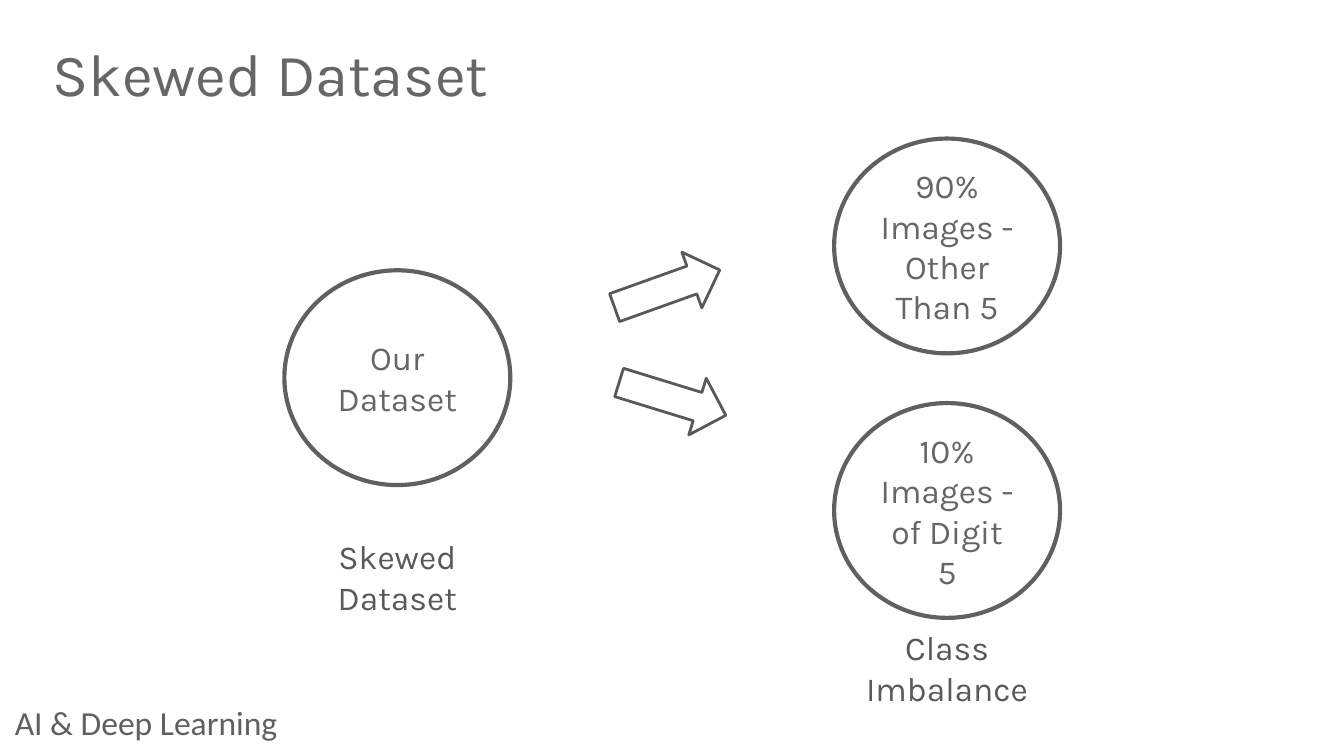
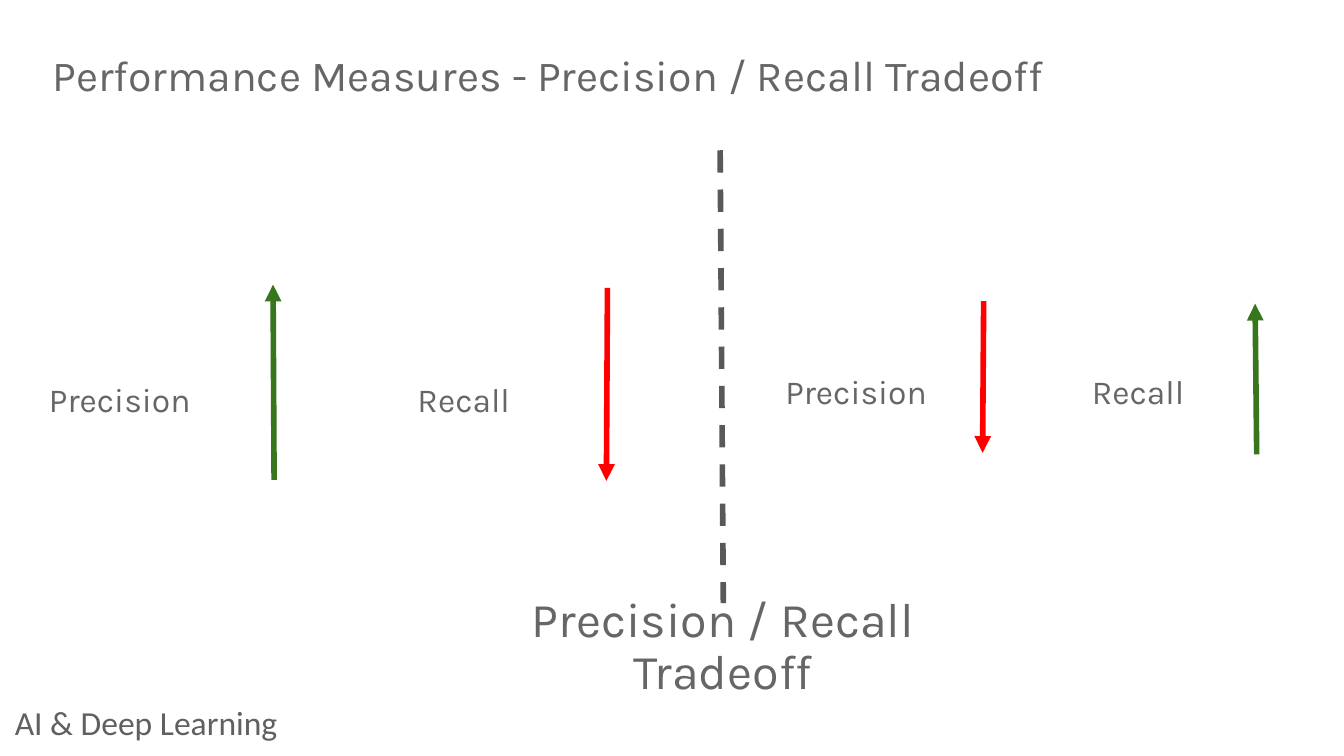
from lxml import etree
from pptx import Presentation
from pptx import util as u
from pptx.dml.color import RGBColor
from pptx.enum import dml, shapes, text
from pptx.oxml.ns import qn

FONT, FOOTER_FONT = "Karla", "Calibri"
GREY, DARK, OUTLINE = "666666", "595959", "606060"
GREEN, RED = "38761D", "FF0000"
PAD = 0.25

FOOTER = "AI & Deep Learning"
TITLE_BOX = (0.99, 0.61, 23.42, 1.7)
FOOTER_BOX = (0.18, 13.36, 7.24, 0.58)

# Skewed dataset: all places are centres, in cm
DATA_X, CLASS_X = 7.51, 17.9
CIRCLE_SIZE = (4.27, 4.06)
CAPTION_SIZE = (5.1, 1.02)
ARROW_SIZE = (2.11, 1.12)
CIRCLES = [
    ("90% Images - Other Than 5", CLASS_X, 4.65),
    ("10% Images - of Digit 5", CLASS_X, 9.65),
    ("Our Dataset", DATA_X, 7.14),
]
CAPTIONS = [("Skewed Dataset", DATA_X, 10.9), ("Class Imbalance", CLASS_X, 12.62)]
BLOCK_ARROWS = [(12.61, 5.46, 340.3), (12.71, 7.54, 17.1)]

# Tradeoff: label, label left, label size, colour, arrow start, arrow end
LABEL_TOP = 6.78
WIDE, NARROW = (4.17, 1.42), (3.4, 1.12)
MEASURES = [
    ("Precision", 0.18, WIDE, GREEN, (5.18, 9.07), (5.16, 5.38)),
    ("Recall", 6.68, WIDE, RED, (11.48, 5.44), (11.46, 9.09)),
    ("Precision", 14.48, NARROW, RED, (18.59, 5.69), (18.57, 8.56)),
    ("Recall", 19.81, NARROW, GREEN, (23.75, 8.59), (23.72, 5.74)),
]
DIVIDER = ((13.61, 2.84), (13.67, 11.4))
CONCLUSION = "Precision / Recall Tradeoff"
CONCLUSION_BOX = (8.59, 11.4, 10.16, 1.7)


def colour(hex_string):
    return RGBColor.from_string(hex_string)


def cm(values):
    return [u.Cm(value) for value in values]


def centred(x, y, size):
    """Return left, top, width and height of a box centred on x, y."""
    width, height = size
    return x - width / 2, y - height / 2, width, height


def write(shape, words, size=18, ink=GREY, font=FONT, pad=PAD,
          align=text.PP_ALIGN.CENTER, spacing=1):
    frame = shape.text_frame
    frame.word_wrap = True
    frame.auto_size = text.MSO_AUTO_SIZE.NONE
    frame.vertical_anchor = text.MSO_ANCHOR.MIDDLE
    frame.margin_left = frame.margin_right = u.Cm(pad)
    frame.margin_top = frame.margin_bottom = u.Cm(pad)
    para = frame.paragraphs[0]
    para.alignment = align
    para.line_spacing = spacing
    span = para.add_run()
    span.text = words
    span.font.name = font
    span.font.size = u.Pt(size)
    span.font.color.rgb = colour(ink)


def add_text(page, words, box, **style):
    write(page.shapes.add_textbox(*cm(box)), words, **style)


def add_outlined(page, kind, box, ink, weight):
    shape = page.shapes.add_shape(kind, *cm(box))
    shape.shadow.inherit = False
    shape.fill.background()
    shape.line.color.rgb = colour(ink)
    shape.line.width = u.Pt(weight)
    return shape


def add_line(page, start, end, ink, arrow=False):
    line = page.shapes.add_connector(
        shapes.MSO_CONNECTOR.STRAIGHT, *cm(start + end))
    line.line.color.rgb = colour(ink)
    line.line.width = u.Pt(3)
    if arrow:
        etree.SubElement(line.line._get_or_add_ln(), qn("a:tailEnd"),
                         type="triangle")
    else:
        line.line.dash_style = dml.MSO_LINE.DASH
    etree.SubElement(line._element.spPr, qn("a:effectLst"))


def add_page(deck, heading, size):
    page = deck.slides.add_slide(deck.slide_layouts[5])
    title = page.shapes.title
    title.left, title.top, title.width, title.height = cm(TITLE_BOX)
    write(title, heading, size, pad=0, align=text.PP_ALIGN.LEFT, spacing=0.9)
    add_text(page, FOOTER, FOOTER_BOX, ink=OUTLINE, font=FOOTER_FONT,
             pad=0.1, align=text.PP_ALIGN.LEFT)
    return page


def build_skewed_dataset(deck):
    page = add_page(deck, "Skewed Dataset", 32)
    for words, x, y in CIRCLES:
        circle = add_outlined(page, shapes.MSO_SHAPE.OVAL,
                              centred(x, y, CIRCLE_SIZE), OUTLINE, 2.25)
        write(circle, words)
    for x, y, angle in BLOCK_ARROWS:
        arrow = add_outlined(page, shapes.MSO_SHAPE.RIGHT_ARROW,
                             centred(x, y, ARROW_SIZE), DARK, 1.5)
        arrow.rotation = angle
    for words, x, y in CAPTIONS:
        add_text(page, words, centred(x, y, CAPTION_SIZE), ink=DARK)


def build_tradeoff(deck):
    page = add_page(
        deck, "Performance Measures - Precision / Recall Tradeoff", 23)
    for words, left, size, ink, start, end in MEASURES:
        add_text(page, words, (left, LABEL_TOP) + size, spacing=1.15)
        add_line(page, start, end, ink, arrow=True)
    add_line(page, *DIVIDER, DARK)
    add_text(page, CONCLUSION, CONCLUSION_BOX, size=26, pad=0, spacing=0.9)


def main():
    deck = Presentation()
    deck.slide_width, deck.slide_height = cm((25.4, 14.29))
    build_skewed_dataset(deck)
    build_tradeoff(deck)
    deck.save("out.pptx")


if __name__ == "__main__":
    main()
